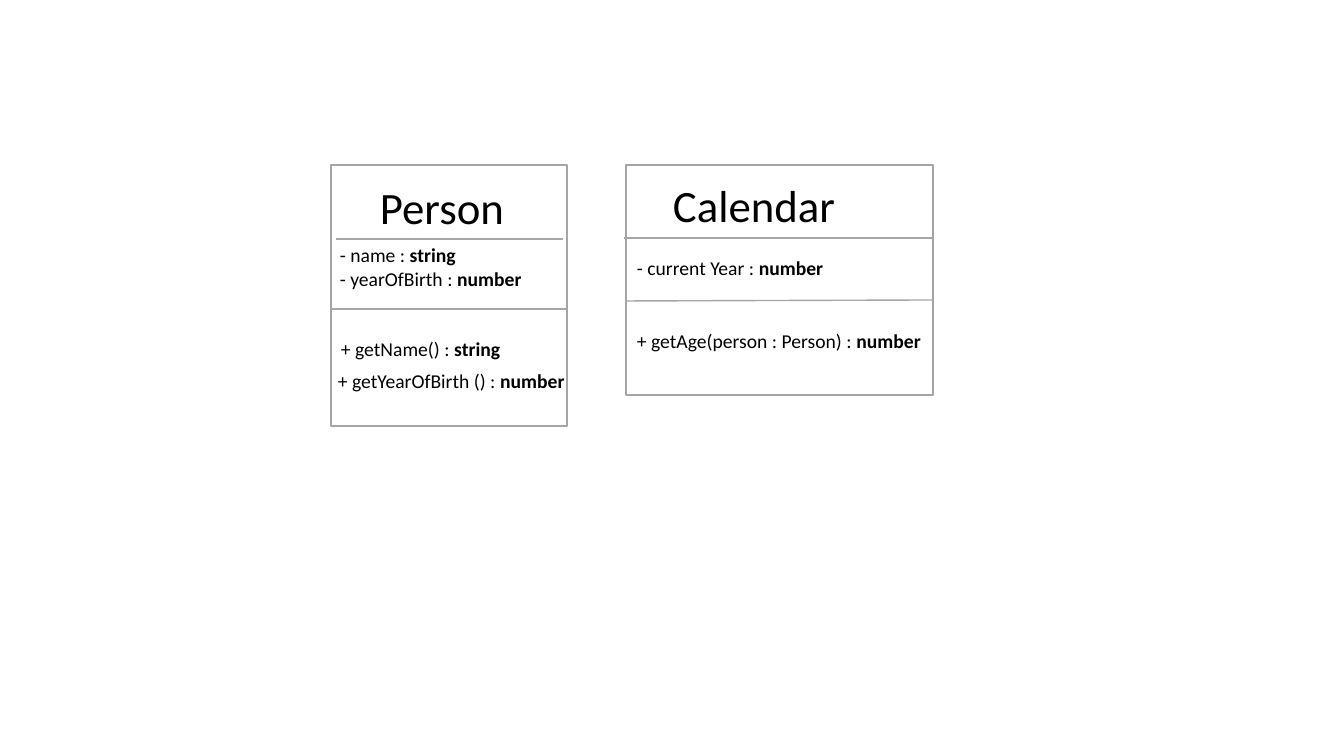
from pptx import Presentation
from pptx.dml.color import RGBColor
from pptx.enum.shapes import MSO_CONNECTOR, MSO_SHAPE
from pptx.enum.text import MSO_AUTO_SIZE
from pptx.oxml.ns import qn
from pptx.util import Emu, Pt
from lxml.etree import SubElement

SCALE = 914400 / 100.8
FONT = "Calibri"
COLORS = {"box": "FFFFFF", "border": "A5A5A5", "divider": "A6A6A6", "text": "000000"}

CLASSES = [
    {
        "box": (331, 165, 236, 261),
        "title": ("Person", 370, 175, 145),
        "dividers": [(336, 239, 563, 239), (331, 309, 567, 309)],
        "members": [
            ("- name : ", "string", 330, 238, 137),
            ("- yearOfBirth : ", "number", 330, 262, 204),
            ("+ getName() : ", "string", 331, 332, 181),
            ("+ getYearOfBirth () : ", "number", 328, 364, 249),
        ],
    },
    {
        "box": (626, 165, 307, 230),
        "title": ("Calendar", 663, 173, 184),
        "dividers": [(624, 238, 933, 238), (626, 301, 933, 300)],
        "members": [
            ("- current Year : ", "number", 627, 251, 208),
            ("+ getAge(person : Person) : ", "number", 627, 324, 306),
        ],
    },
]


def px(*lengths):
    """Turn pixel lengths into EMU."""
    return [Emu(round(length * SCALE)) for length in lengths]


def color(name):
    """Look up a named colour."""
    return RGBColor.from_string(COLORS[name])


def add_box(slide, bounds):
    """Draw the outline of a class."""
    shape = slide.shapes.add_shape(MSO_SHAPE.RECTANGLE, *px(*bounds))
    shape.shadow.inherit = False
    shape.fill.solid()
    shape.fill.fore_color.rgb = color("box")
    shape.line.color.rgb = color("border")
    shape.line.width = Pt(1)


def add_divider(slide, ends):
    """Draw a line between two compartments."""
    connector = slide.shapes.add_connector(MSO_CONNECTOR.STRAIGHT, *px(*ends))
    connector.line.color.rgb = color("divider")
    connector.line.width = Pt(1)
    SubElement(connector._element.spPr, qn("a:effectLst"))


def add_text(slide, bounds, size, runs):
    """Write one line of (text, bold) runs."""
    frame = slide.shapes.add_textbox(*px(*bounds)).text_frame
    frame.word_wrap = False
    frame.auto_size = MSO_AUTO_SIZE.SHAPE_TO_FIT_TEXT
    paragraph = frame.paragraphs[0]
    for text, bold in runs:
        run = paragraph.add_run()
        run.text = text
        run.font.name = FONT
        run.font.size = Pt(size)
        run.font.bold = bold
        run.font.color.rgb = color("text")


def add_class(slide, diagram):
    """Draw a class with its title, dividers and members."""
    add_box(slide, diagram["box"])
    title, left, top, width = diagram["title"]
    add_text(slide, (left, top, width, 65), 32, [(title, False)])
    for ends in diagram["dividers"]:
        add_divider(slide, ends)
    for label, kind, left, top, width in diagram["members"]:
        add_text(slide, (left, top, width, 34), 14, [(label, False), (kind, True)])


def main():
    """Build the class diagram slide."""
    presentation = Presentation()
    presentation.slide_width, presentation.slide_height = px(1344, 756)
    slide = presentation.slides.add_slide(presentation.slide_layouts[6])
    for diagram in CLASSES:
        add_class(slide, diagram)
    presentation.save("out.pptx")


main()
